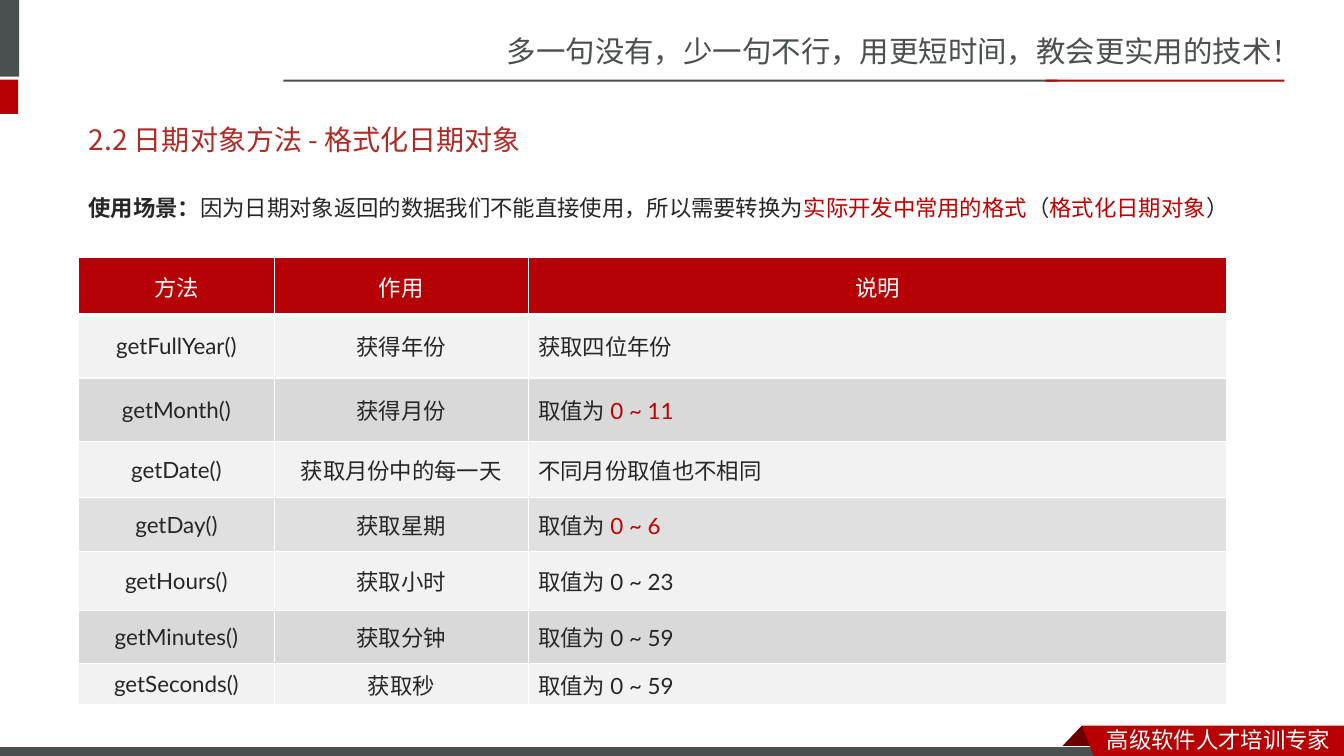
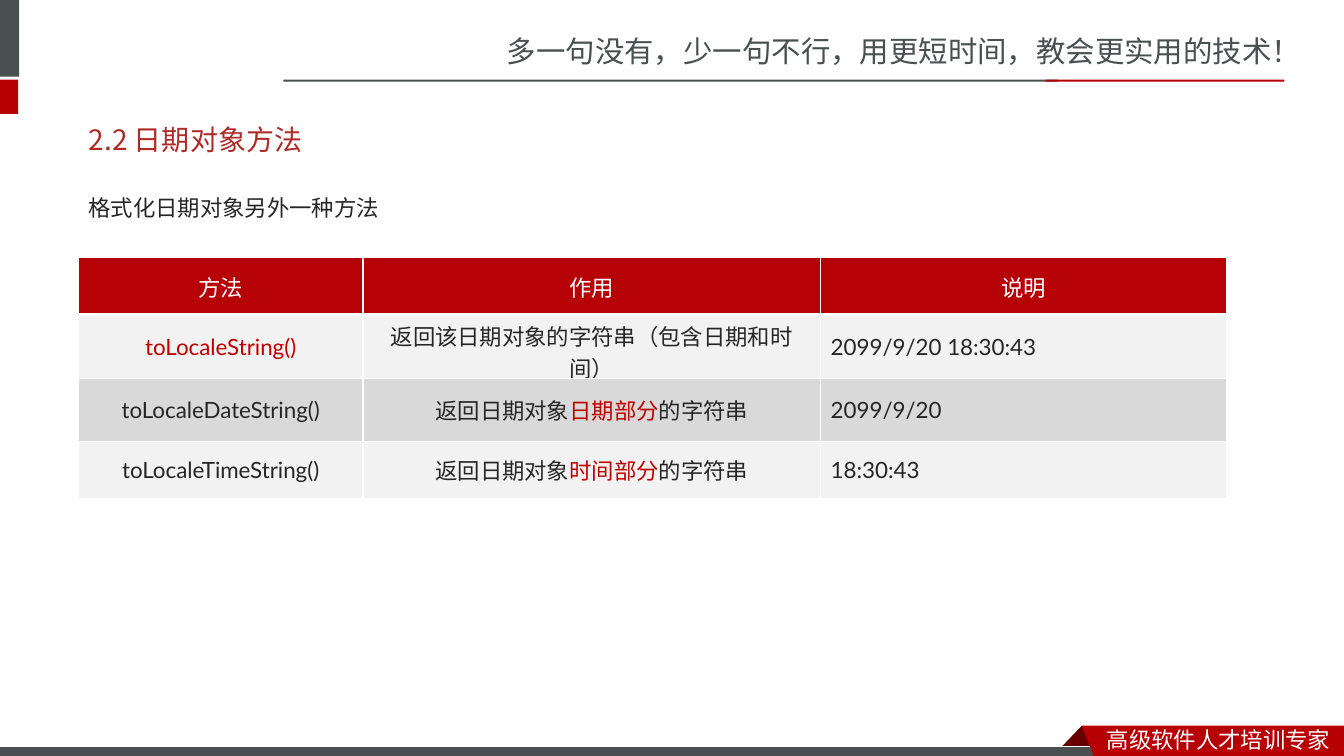
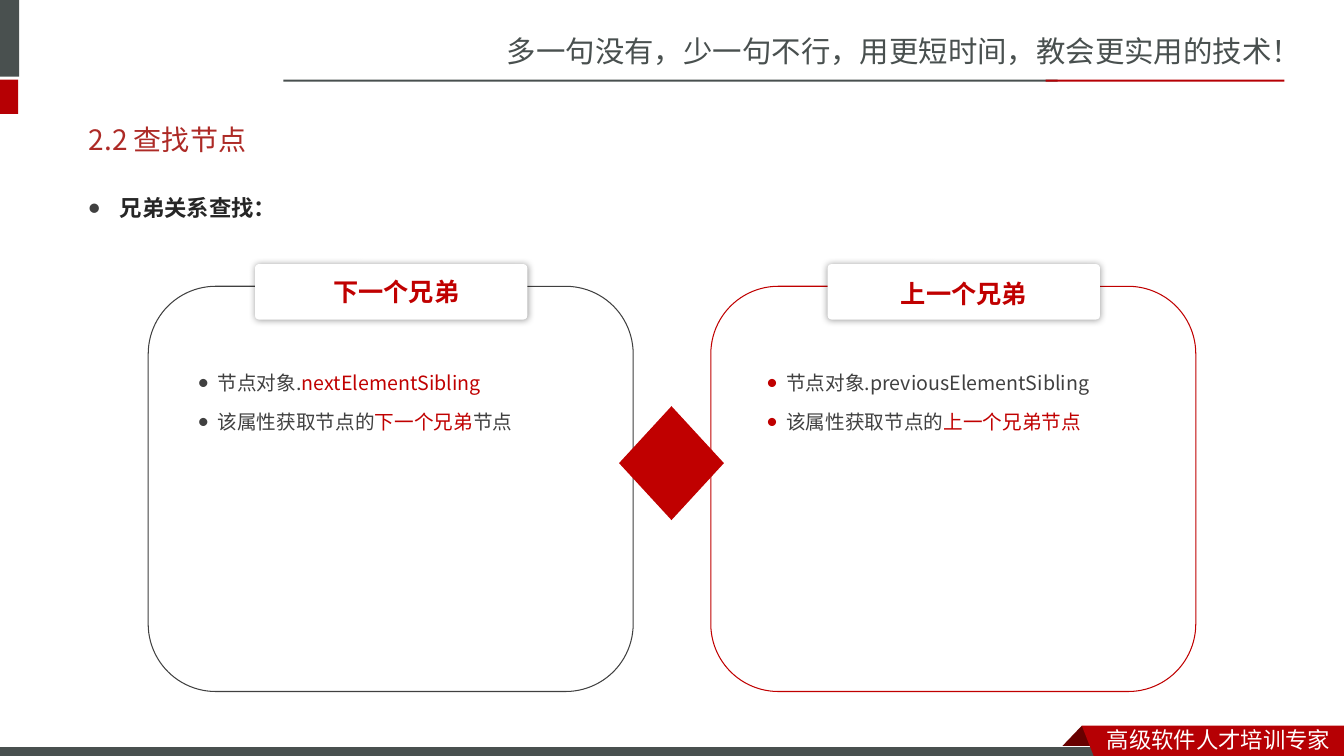
"""Build three course slides on date methods and sibling lookup."""
from dataclasses import dataclass
from typing import Any, NamedTuple

from lxml import etree
from pptx import Presentation
from pptx.dml.color import RGBColor
from pptx.enum.shapes import MSO_SHAPE
from pptx.enum.text import MSO_ANCHOR, MSO_AUTO_SIZE, PP_ALIGN
from pptx.oxml.ns import qn
from pptx.util import Inches, Pt

RECTANGLE = MSO_SHAPE.RECTANGLE
ROUNDED = MSO_SHAPE.ROUNDED_RECTANGLE
DIAMOND = MSO_SHAPE.DIAMOND
TOP, MIDDLE = MSO_ANCHOR.TOP, MSO_ANCHOR.MIDDLE
LEFT, CENTER = PP_ALIGN.LEFT, PP_ALIGN.CENTER
NO_AUTOFIT = MSO_AUTO_SIZE.NONE

LATO = "Lato"
SANS_SC = "Noto Sans CJK SC"
SANS_JP = "Noto Sans CJK JP"
WHITE, SLATE, CRIMSON, MAROON = "FFFFFF", "49504F", "B60004", "680000"
TITLE_RED, HEADER_RED, ACCENT = "AD2A26", "B60206", "C00000"
INK, GRAY = "262626", "404040"
LIGHT, MID, SOFT = "F2F2F2", "D9D9D9", "E0E0E0"


class Box(NamedTuple):
    """Left, top, width and height in inches."""

    left: float
    top: float
    width: float
    height: float

    def lengths(self) -> tuple[Any, ...]:
        """Return the four values as lengths."""
        return tuple(Inches(value) for value in self)


@dataclass(frozen=True)
class Style:
    """Look of one paragraph."""

    size: float
    font: str
    color: str
    bold: bool = False
    align: Any = LEFT
    spacing: Any = None
    bullet: str = ""
    indent: float = 0


@dataclass(frozen=True)
class Bar:
    """A plain rectangle of the shared frame."""

    box: Box
    color: str
    line: str = ""


@dataclass(frozen=True)
class MethodTable:
    """Columns and rows of a method table; bars enclose accented text."""

    columns: tuple[float, ...]
    heights: tuple[float, ...]
    fills: tuple[str, ...]
    rows: tuple[tuple[str, str, str], ...]


@dataclass(frozen=True)
class Card:
    """An outlined card with a label and bulleted lines."""

    left: float
    label_left: float
    caption: Box
    text_left: float
    color: str
    label: str
    lines: tuple[str, ...]


TITLE = Style(20, SANS_JP, TITLE_RED)
BODY = Style(16, LATO, INK, spacing=1.5)
HEADER_CELL = Style(16, LATO, WHITE, align=CENTER, spacing=Pt(24))
CAPTION = Style(18, SANS_JP, ACCENT, bold=True, align=CENTER)
TITLE_BOX = Box(0.78, 1.1, 11.75, 0.57)
BODY_BOX = Box(0.78, 1.74, 11.72, 0.7)
TABLE_LEFT, TABLE_TOP = 0.78, 2.55
HEADINGS = ("方法", "作用", "说明")

BARS = (
    Bar(Box(-0.06, 0, 0.25, 0.76), SLATE),
    Bar(Box(-0.06, 0.79, 0.24, 0.34), CRIMSON),
    Bar(Box(2.81, 0.79, 7.68, 0.02), SLATE),
    Bar(Box(10.37, 0.79, 2.37, 0.02), CRIMSON),
    Bar(Box(-0.01, 7.41, 11, 0.12), SLATE, WHITE),
)
RIBBON_FOLD = ((10.73, 7.2), (10.95, 7.43), (10.51, 7.43))
RIBBON = ((10.73, 7.2), (13.33, 7.2), (13.33, 7.54), (10.86, 7.53))

DATE_GETTERS = MethodTable(
    (1.94, 2.52, 6.93),
    (0.57, 0.63, 0.63, 0.56, 0.53, 0.59, 0.52, 0.41),
    (LIGHT, MID, LIGHT, SOFT, LIGHT, MID, LIGHT),
    (
        ("getFullYear()", "获得年份", "获取四位年份"),
        ("getMonth()", "获得月份", "取值为 |0 ~ 11|"),
        ("getDate()", "获取月份中的每一天", "不同月份取值也不相同"),
        ("getDay()", "获取星期", "取值为 |0 ~ 6|"),
        ("getHours()", "获取小时", "取值为 0 ~ 23"),
        ("getMinutes()", "获取分钟", "取值为 0 ~ 59"),
        ("getSeconds()", "获取秒", "取值为 0 ~ 59"),
    ),
)
LOCALE_METHODS = MethodTable(
    (2.82, 4.54, 4.03),
    (0.57, 0.63, 0.63, 0.56),
    (LIGHT, MID, LIGHT),
    (
        ("|toLocaleString()|", "返回该日期对象的字符串（包含日期和时间）", "2099/9/20 18:30:43"),
        ("toLocaleDateString()", "返回日期对象|日期部分|的字符串", "2099/9/20"),
        ("toLocaleTimeString()", "返回日期对象|时间部分|的字符串", "18:30:43"),
    ),
)
CARDS = (
    Card(1.47, 2.53, Box(2.63, 2.68, 2.6, 0.43), 1.87, GRAY, "下一个兄弟",
         ("节点对象.|nextElementSibling|", "该属性获取节点的|下一个兄弟|节点")),
    Card(7.05, 8.21, Box(8.26, 2.7, 2.6, 0.43), 7.51, ACCENT, "上一个兄弟",
         ("节点对象.previousElementSibling", "该属性获取节点的|上一个兄弟节点|")),
)


def rgb(color: str) -> RGBColor:
    """Turn a hex string into a colour."""
    return RGBColor.from_string(color)


def set_attributes(target: Any, values: dict[str, Any]) -> None:
    """Set every attribute named in the dict."""
    for name, value in values.items():
        setattr(target, name, value)


def add_child(parent: Any, tag: str, **attributes: str) -> Any:
    """Append a drawing element with attributes."""
    return etree.SubElement(parent, qn(tag), attributes)


def add_run(paragraph: Any, text: str, style: Style, color: str, bold: bool) -> None:
    """Add one formatted run."""
    run = paragraph.add_run()
    run.text = text
    set_attributes(run.font, {"size": Pt(style.size), "name": style.font, "bold": bold})
    run.font.color.rgb = rgb(color)
    east_asian = SANS_SC if style.font == LATO else style.font
    add_child(run.font._element, "a:ea", typeface=east_asian)


def add_bullet(paragraph: Any, style: Style) -> None:
    """Give a paragraph a hanging round bullet."""
    properties = paragraph._p.get_or_add_pPr()
    properties.set("marL", str(Inches(style.indent)))
    properties.set("indent", str(-Inches(style.indent)))
    add_child(add_child(properties, "a:buClr"), "a:srgbClr", val=style.bullet)
    add_child(properties, "a:buSzPct", val="85000")
    add_child(properties, "a:buFont", typeface=LATO)
    add_child(properties, "a:buChar", char="●")


def write_lines(frame: Any, lines: tuple[str, ...], style: Style, lead: str = "") -> None:
    """Write paragraphs, with text between bars accented and a bold lead."""
    for index, line in enumerate(lines):
        paragraph = frame.add_paragraph() if index else frame.paragraphs[0]
        set_attributes(paragraph, {"alignment": style.align, "line_spacing": style.spacing})
        if index:
            paragraph.space_before = Pt(style.size * 0.2)
        if style.bullet:
            add_bullet(paragraph, style)
        if lead:
            add_run(paragraph, lead, style, style.color, True)
        for part, text in enumerate(line.split("|")):
            if text:
                add_run(paragraph, text, style, ACCENT if part % 2 else style.color, style.bold)


def add_text(slide: Any, box: Box, lines: tuple[str, ...], style: Style,
             anchor: Any = TOP, lead: str = "") -> None:
    """Add a wrapped text box."""
    frame = slide.shapes.add_textbox(*box.lengths()).text_frame
    set_attributes(frame, {"word_wrap": True, "vertical_anchor": anchor})
    write_lines(frame, lines, style, lead)


def paint(shape: Any, fill: str = "", line: str = "") -> None:
    """Set fill and outline and drop the theme shadow."""
    shape.shadow.inherit = False
    if fill:
        shape.fill.solid()
        shape.fill.fore_color.rgb = rgb(fill)
    else:
        shape.fill.background()
    if line:
        shape.line.color.rgb = rgb(line)
        shape.line.width = Pt(0.75)
    else:
        shape.line.fill.background()


def add_box(slide: Any, kind: Any, box: Box, fill: str = "", line: str = "") -> Any:
    """Add a painted preset shape."""
    shape = slide.shapes.add_shape(kind, *box.lengths())
    paint(shape, fill, line)
    return shape


def add_outline(slide: Any, points: tuple[tuple[float, float], ...], fill: str) -> None:
    """Add a filled polygon."""
    corners = [(Inches(x), Inches(y)) for x, y in points]
    builder = slide.shapes.build_freeform(*corners[0])
    builder.add_line_segments(corners[1:], close=True)
    paint(builder.convert_to_shape(), fill)


def add_glow(shape: Any) -> None:
    """Add a soft centred shadow."""
    effects = shape._element.spPr.find(qn("a:effectLst"))
    shadow = add_child(effects, "a:outerShdw", blurRad=str(Pt(5)), dist="0",
                       algn="ctr", rotWithShape="0")
    color = add_child(shadow, "a:srgbClr", val="000000")
    add_child(color, "a:alpha", val="40000")


def build_layout(presentation: Any) -> Any:
    """Put the shared frame on the title-only layout."""
    layout = presentation.slide_layouts[5]
    for placeholder in list(layout.placeholders)[1:]:
        layout.shapes.element.remove(placeholder.element)
    slide = presentation.slides.add_slide(layout)
    add_text(slide, Box(4.93, 0.28, 8.4, 0.47),
             ("多一句没有，少一句不行，用更短时间，教会更实用的技术！",), Style(21, SANS_SC, SLATE))
    add_outline(slide, RIBBON_FOLD, MAROON)
    for bar in BARS:
        add_box(slide, RECTANGLE, bar.box, bar.color, bar.line)
    add_outline(slide, RIBBON, CRIMSON)
    add_text(slide, Box(10.88, 7.15, 2.45, 0.37), ("高级软件人才培训专家",),
             Style(16, SANS_SC, WHITE))
    for shape in list(slide.shapes)[1:]:
        layout.shapes.element.append(shape.element)
    return slide


def set_title(slide: Any, text: str) -> None:
    """Move and fill the title placeholder."""
    title = slide.shapes.title
    set_attributes(title, dict(zip(("left", "top", "width", "height"), TITLE_BOX.lengths())))
    set_attributes(title.text_frame, {"word_wrap": True, "auto_size": NO_AUTOFIT,
                                      "vertical_anchor": MIDDLE})
    write_lines(title.text_frame, (text,), TITLE)


def set_borders(cell: Any, top: float, bottom: float) -> None:
    """Draw white borders around a cell."""
    properties = cell._tc.get_or_add_tcPr()
    for side, width in (("L", 1), ("R", 1), ("T", top), ("B", bottom)):
        line = add_child(properties, f"a:ln{side}", w=str(Pt(width)))
        add_child(add_child(line, "a:solidFill"), "a:srgbClr", val=WHITE)


def add_methods(slide: Any, data: MethodTable) -> None:
    """Add a method table with a red header row."""
    box = Box(TABLE_LEFT, TABLE_TOP, sum(data.columns), sum(data.heights))
    rows = (HEADINGS, *data.rows)
    table = slide.shapes.add_table(len(rows), len(HEADINGS), *box.lengths()).table
    set_attributes(table, {"first_row": False, "horz_banding": False})
    for column, width in zip(table.columns, data.columns):
        column.width = Inches(width)
    for row, height in zip(table.rows, data.heights):
        row.height = Inches(height)
    for row_index, (texts, fill) in enumerate(zip(rows, (HEADER_RED, *data.fills))):
        for column_index, text in enumerate(texts):
            cell = table.cell(row_index, column_index)
            cell.vertical_anchor = MIDDLE
            set_borders(cell, 3 if row_index == 1 else 1, 3 if row_index == 0 else 1)
            cell.fill.solid()
            cell.fill.fore_color.rgb = rgb(fill)
            align = CENTER if column_index < 2 else LEFT
            style = Style(16, LATO, INK, align=align) if row_index else HEADER_CELL
            write_lines(cell.text_frame, (text,), style)


def add_card(slide: Any, card: Card) -> None:
    """Add an outlined card with its label and lines."""
    add_box(slide, ROUNDED, Box(card.left, 2.84, 4.81, 4.02), line=card.color)
    label = add_box(slide, ROUNDED, Box(card.label_left, 2.62, 2.7, 0.55), WHITE)
    label.adjustments[0] = 0.07
    add_glow(label)
    add_text(slide, card.caption, (card.label,), CAPTION, MIDDLE)
    add_text(slide, Box(card.text_left, 3.51, 4.1, 3), card.lines,
             Style(14, SANS_JP, GRAY, spacing=1.5, bullet=card.color, indent=0.19))


def main() -> None:
    """Build and save the presentation."""
    presentation = Presentation()
    set_attributes(presentation, {"slide_width": Inches(13.33), "slide_height": Inches(7.5)})
    getters = build_layout(presentation)
    layout = getters.slide_layout
    locale = presentation.slides.add_slide(layout)
    siblings = presentation.slides.add_slide(layout)

    set_title(getters, "2.2 日期对象方法 - 格式化日期对象")
    scenario = "因为日期对象返回的数据我们不能直接使用，所以需要转换为|实际开发中常用的格式|（|格式化日期对象|）"
    add_text(getters, BODY_BOX, (scenario,), Style(16, SANS_JP, INK, spacing=1.5),
             lead="使用场景：")
    add_methods(getters, DATE_GETTERS)

    set_title(locale, "2.2 日期对象方法")
    add_text(locale, BODY_BOX, ("格式化日期对象另外一种方法",), BODY)
    add_methods(locale, LOCALE_METHODS)

    set_title(siblings, "2.2 查找节点")
    add_text(siblings, BODY_BOX, ("兄弟关系查找：",),
             Style(16, SANS_JP, INK, bold=True, spacing=1.5, bullet=GRAY, indent=0.31))
    for card in CARDS:
        add_card(siblings, card)
    add_box(siblings, DIAMOND, Box(6.14, 4.03, 1.04, 1.13), ACCENT)
    presentation.save("out.pptx")


if __name__ == "__main__":
    main()
